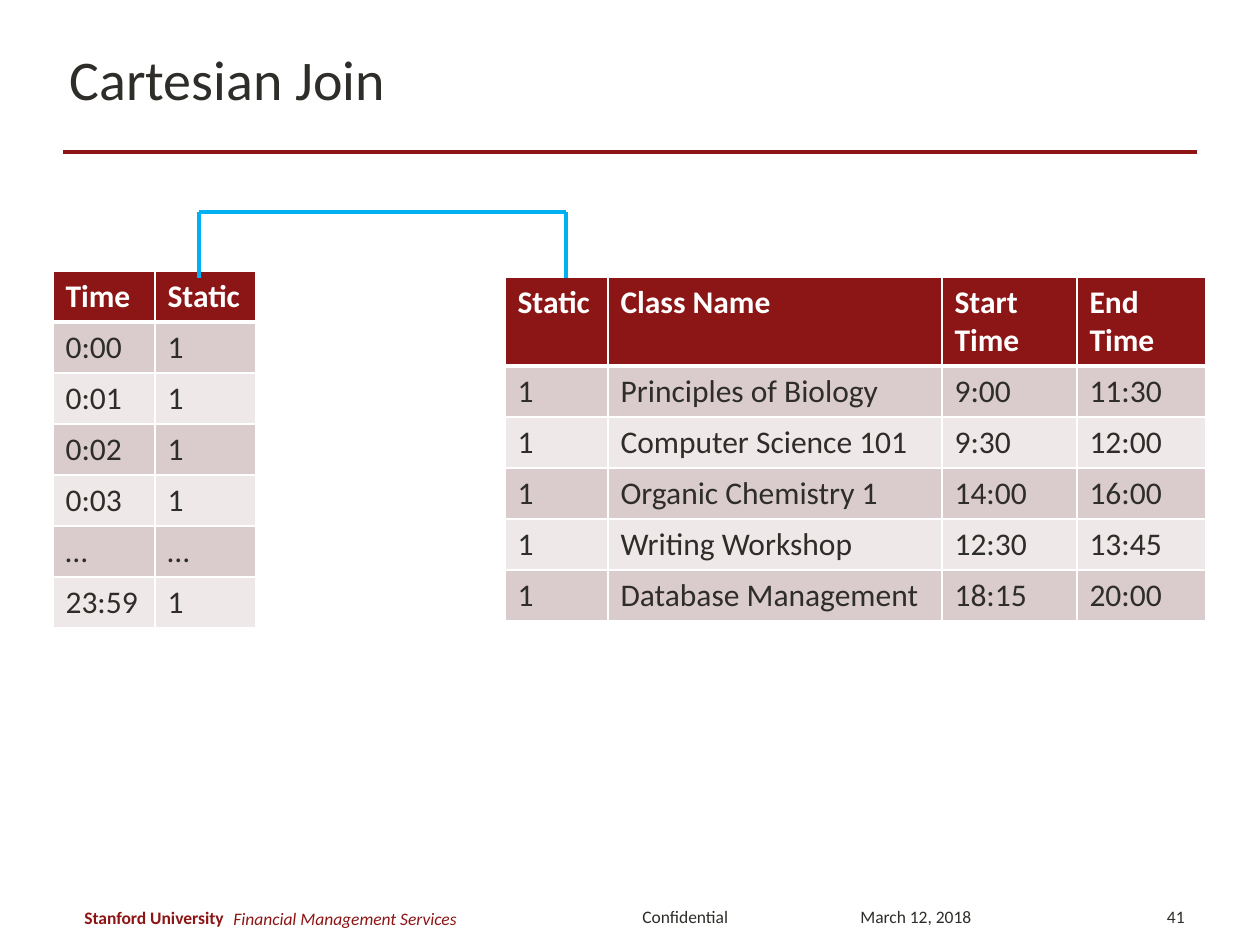
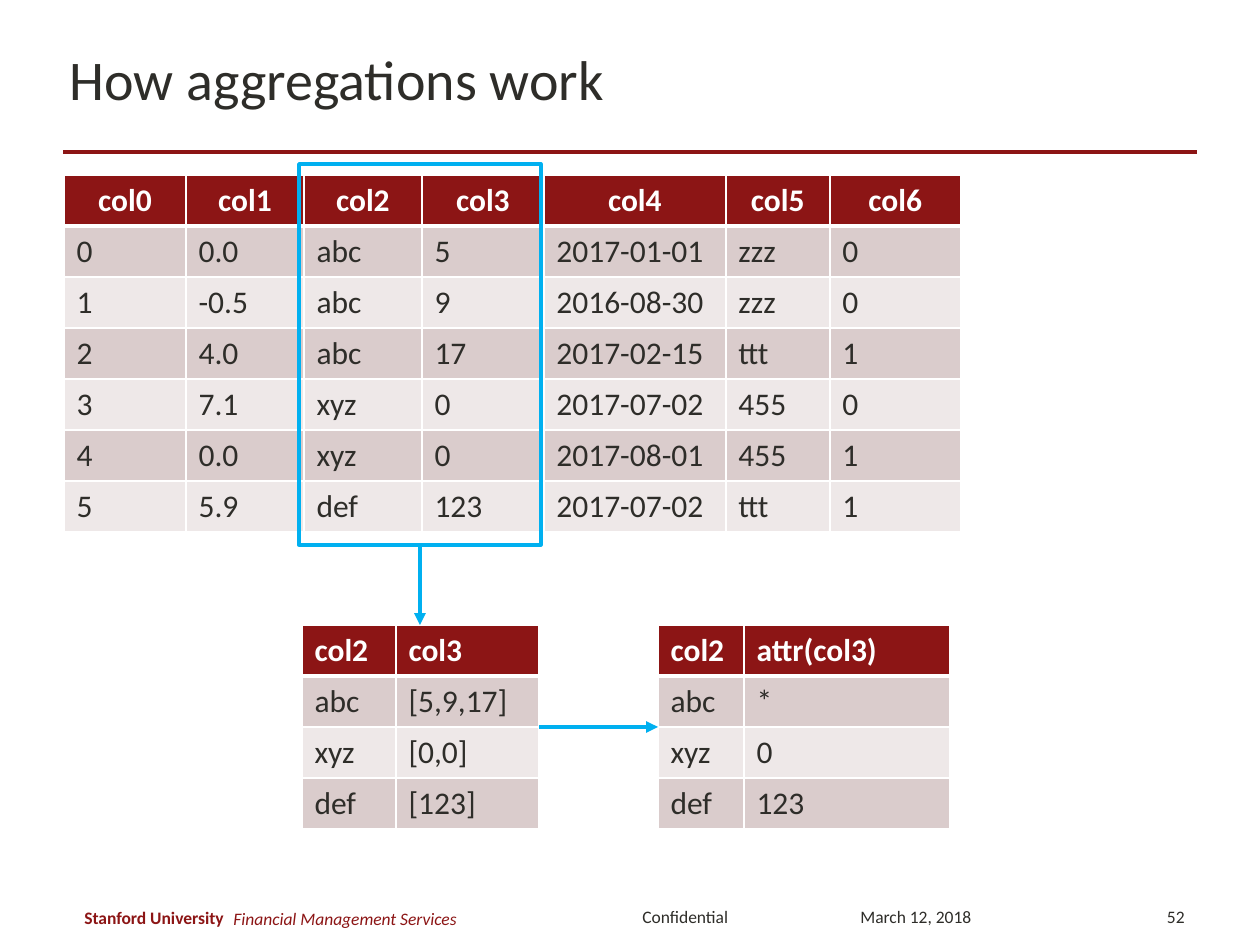
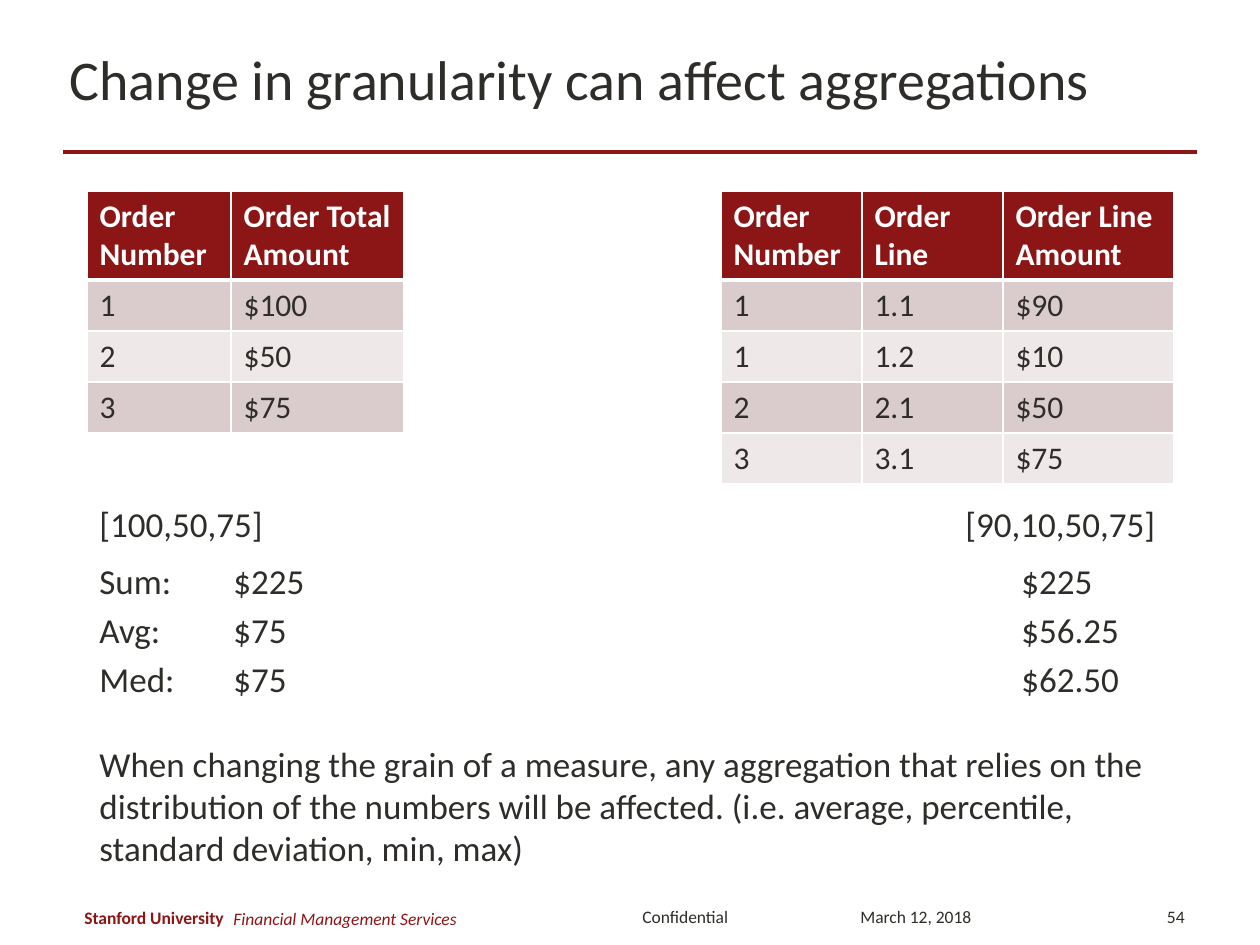
import pptx
import pptx.dml.color
import pptx.enum.shapes
import pptx.enum.text
import pptx.oxml
import pptx.oxml.ns
import pptx.util
from lxml import etree

RGB = pptx.dml.color.RGBColor
ALIGN = pptx.enum.text.PP_ALIGN
ANCHOR = pptx.enum.text.MSO_ANCHOR
Pt = pptx.util.Pt
qn = pptx.oxml.ns.qn

CARDINAL = RGB(0x8C, 0x15, 0x15)
INK = RGB(0x2E, 0x2D, 0x29)
WHITE = RGB(0xFF, 0xFF, 0xFF)
BLUE = RGB(0x00, 0xB0, 0xF0)
BANDS = [RGB(0xDA, 0xCC, 0xCC), RGB(0xEE, 0xE8, 0xE8)]
FONT = "Calibri"

ROW_H = 51
TALL_HEADER_H = 89

# text, box, font options
FOOTERS = [
    ("Confidential", (630, 892, 129, 50), {}),
    ("Stanford University", (72, 900, 168, 34), {"color": CARDINAL, "bold": True}),
    ("March 12, 2018", (848, 892, 174, 50), {}),
    ("Financial Management Services", (221, 894, 399, 50),
     {"color": CARDINAL, "italic": True}),
]
PAGE_NUMBER_BOX = (1113, 892, 84, 50)

TIMES = [
    ["Time", "Static"],
    ["0:00", "1"],
    ["0:01", "1"],
    ["0:02", "1"],
    ["0:03", "1"],
    ["…", "…"],
    ["23:59", "1"],
]
CLASSES = [
    ["Static", "Class Name", "Start Time", "End Time"],
    ["1", "Principles of Biology", "9:00", "11:30"],
    ["1", "Computer Science 101", "9:30", "12:00"],
    ["1", "Organic Chemistry 1", "14:00", "16:00"],
    ["1", "Writing Workshop", "12:30", "13:45"],
    ["1", "Database Management", "18:15", "20:00"],
]
RECORDS = [
    ["col0", "col1", "col2", "col3", "col4", "col5", "col6"],
    ["0", "0.0", "abc", "5", "2017-01-01", "zzz", "0"],
    ["1", "-0.5", "abc", "9", "2016-08-30", "zzz", "0"],
    ["2", "4.0", "abc", "17", "2017-02-15", "ttt", "1"],
    ["3", "7.1", "xyz", "0", "2017-07-02", "455", "0"],
    ["4", "0.0", "xyz", "0", "2017-08-01", "455", "1"],
    ["5", "5.9", "def", "123", "2017-07-02", "ttt", "1"],
]
GROUPED = [
    ["col2", "col3"],
    ["abc", "[5,9,17]"],
    ["xyz", "[0,0]"],
    ["def", "[123]"],
]
AGGREGATED = [
    ["col2", "attr(col3)"],
    ["abc", "*"],
    ["xyz", "0"],
    ["def", "123"],
]
ORDERS = [
    ["Order Number", "Order Total Amount"],
    ["1", "$100"],
    ["2", "$50"],
    ["3", "$75"],
]
ORDER_LINES = [
    ["Order Number", "Order Line", "Order Line Amount"],
    ["1", "1.1", "$90"],
    ["1", "1.2", "$10"],
    ["2", "2.1", "$50"],
    ["3", "3.1", "$75"],
]
# lines, box, tab stops
NOTES = [
    (["Sum:\t$225\t$225", "Avg:\t$75\t$56.25", "Med:\t$75\t$62.50"],
     (87, 553, 1087, 169), [134, 922]),
    (["When changing the grain of a measure, any aggregation that relies on the "
      "distribution of the numbers will be affected. (i.e. average, percentile, "
      "standard deviation, min, max)"],
     (87, 736, 1087, 155), []),
    (["[100,50,75]\t[90,10,50,75]"], (87, 496, 1087, 155), [866]),
]


def px(*values):
    """Turn px lengths into EMU."""
    return [round(v * 914400 / 126) for v in values]


def style(p, size, color=INK, bold=False, italic=False):
    f = p.font
    f.name, f.size, f.bold, f.italic = FONT, Pt(size), bold, italic
    f.color.rgb = color


def add_text(s, lines, box, size, tabs=(), align=None, anchor=ANCHOR.TOP, **font):
    tf = s.shapes.add_textbox(*px(*box)).text_frame
    tf.word_wrap = True
    tf.vertical_anchor = anchor
    for i, line in enumerate(lines):
        p = tf.add_paragraph() if i else tf.paragraphs[0]
        p.text = line
        p.alignment = align
        if tabs:
            tab_list = etree.SubElement(p._p.get_or_add_pPr(), qn("a:tabLst"))
            for pos in px(*tabs):
                etree.SubElement(tab_list, qn("a:tab"), pos=str(pos), algn="l")
        if i:
            p.space_before = Pt(4)
        style(p, size, **font)
    return tf


def add_line(s, start, end, color=BLUE, arrow=False):
    line = s.shapes.add_connector(
        pptx.enum.shapes.MSO_CONNECTOR.STRAIGHT, *px(*start, *end))
    line.line.color.rgb = color
    line.line.width = Pt(2.25)
    if arrow:
        etree.SubElement(line.line._get_or_add_ln(), qn("a:tailEnd"), type="triangle")
    etree.SubElement(line._element.spPr, qn("a:effectLst"))
    return line


def set_borders(cell, top, bottom):
    """Draw white edges; top and bottom are widths in points."""
    widths = {"lnL": 1, "lnR": 1, "lnT": top, "lnB": bottom}
    for i, (tag, width) in enumerate(widths.items()):
        cell._tc.get_or_add_tcPr().insert(i, pptx.oxml.parse_xml(
            f'<a:{tag} {pptx.oxml.ns.nsdecls("a")} w="{Pt(width)}"><a:solidFill>'
            f'<a:srgbClr val="{WHITE}"/></a:solidFill></a:{tag}>'))


def add_table(s, rows, left, top, widths, header_h=ROW_H, header_align=None):
    heights = [header_h] + [ROW_H] * (len(rows) - 1)
    table = s.shapes.add_table(len(rows), len(widths), *px(
        left, top, sum(widths), sum(heights))).table
    for column, width in zip(table.columns, px(*widths)):
        column.width = width
    for r, (row, height) in enumerate(zip(rows, px(*heights))):
        table.rows[r].height = height
        for c, text in enumerate(row):
            cell = table.cell(r, c)
            cell.text = text
            cell.fill.solid()
            cell.fill.fore_color.rgb = BANDS[(r - 1) % 2] if r else CARDINAL
            set_borders(cell, top=3 if r == 1 else 1, bottom=1 if r else 3)
            p = cell.text_frame.paragraphs[0]
            if r == 0:
                p.alignment = header_align
            style(p, 18, INK if r else WHITE, bold=r == 0)


def add_slide(prs, title, number):
    s = prs.slides.add_slide(prs.slide_layouts[5])
    sp = s.shapes.title
    sp.left, sp.top, sp.width, sp.height = px(57, 23, 1134, 110)
    tf = sp.text_frame
    tf.text = title
    tf.auto_size = pptx.enum.text.MSO_AUTO_SIZE.NONE
    tf.vertical_anchor = ANCHOR.MIDDLE
    tf.paragraphs[0].alignment = ALIGN.LEFT
    style(tf.paragraphs[0], 32)
    add_line(s, (63, 152), (1197, 152), CARDINAL)
    for text, box, font in FOOTERS:
        add_text(s, [text], box, 10, anchor=ANCHOR.MIDDLE, **font)
    add_text(s, [str(number)], PAGE_NUMBER_BOX, 10, align=ALIGN.RIGHT,
             anchor=ANCHOR.MIDDLE)
    return s


def build_join(prs):
    s = add_slide(prs, "Cartesian Join", 41)
    add_table(s, TIMES, 53, 271, [102, 101])
    add_table(s, CLASSES, 505, 277, [103, 334, 135, 129], TALL_HEADER_H)
    left, right, top, bottom = 199, 566, 212, 278
    add_line(s, (left, top), (right, top))
    for x in (left, right):
        add_line(s, (x, top), (x, bottom))


def build_aggregation(prs):
    s = add_slide(prs, "How aggregations work", 52)
    add_table(s, RECORDS, 64, 175, [122, 118, 118, 122, 182, 104, 131],
              header_align=ALIGN.CENTER)
    frame = s.shapes.add_shape(
        pptx.enum.shapes.MSO_SHAPE.RECTANGLE, *px(299, 164, 242, 381))
    frame.shadow.inherit = False
    frame.fill.background()
    frame.line.color.rgb = BLUE
    frame.line.width = Pt(2)
    add_table(s, GROUPED, 302, 625, [94, 143])
    add_table(s, AGGREGATED, 658, 625, [86, 206])
    add_line(s, (420, 545), (420, 625), arrow=True).begin_connect(frame, 2)
    add_line(s, (539, 727), (658, 727), arrow=True)


def build_granularity(prs):
    s = add_slide(prs, "Change in granularity can affect aggregations", 54)
    add_table(s, ORDERS, 87, 191, [144, 173], TALL_HEADER_H)
    add_table(s, ORDER_LINES, 721, 191, [141, 141, 171], TALL_HEADER_H)
    for lines, box, tabs in NOTES:
        add_text(s, lines, box, 20, tabs)


def main():
    prs = pptx.Presentation()
    prs.slide_width, prs.slide_height = px(1260, 945)
    build_join(prs)
    build_aggregation(prs)
    build_granularity(prs)
    prs.save("out.pptx")


if __name__ == "__main__":
    main()
